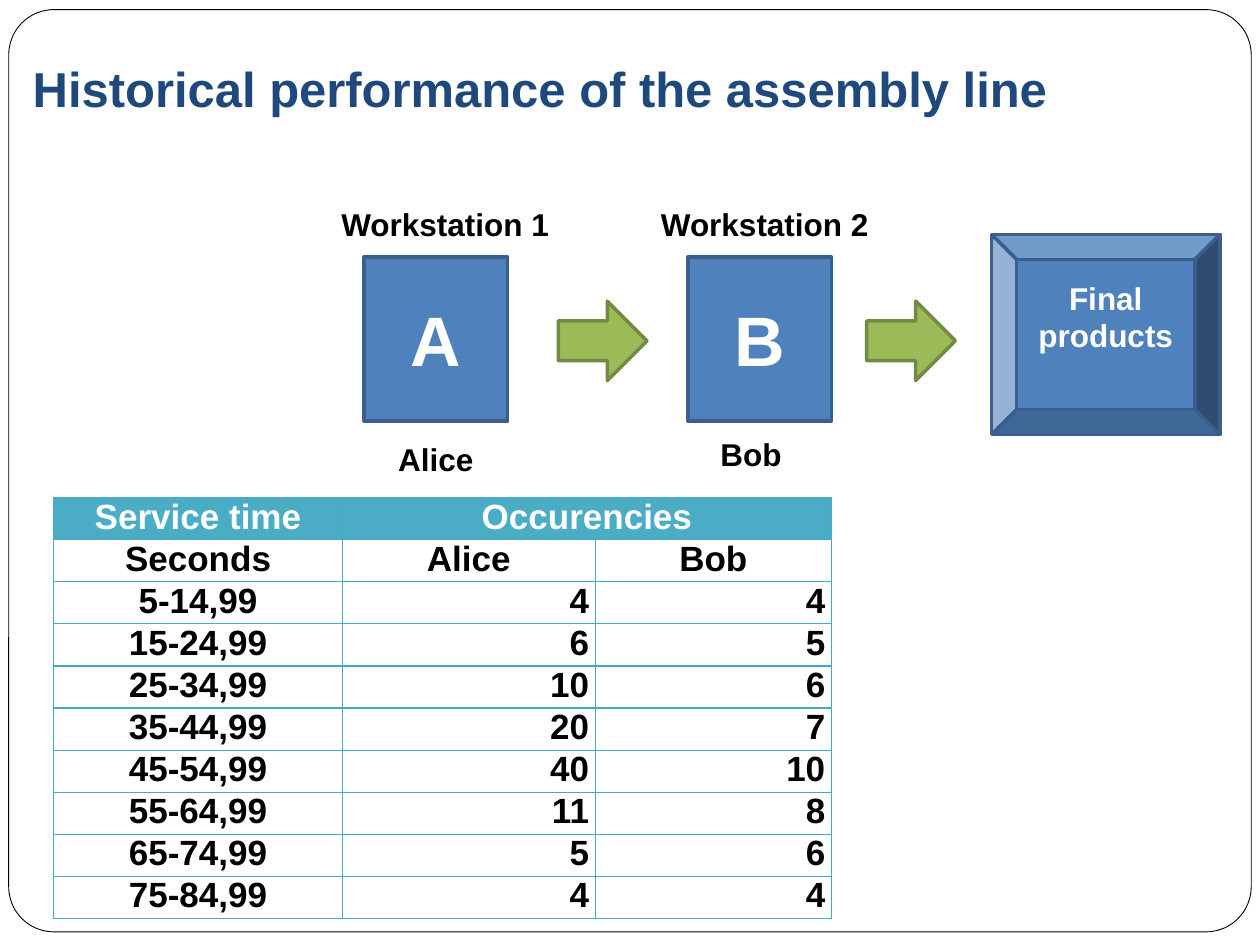
import pptx
import pptx.dml.color
import pptx.enum.shapes
import pptx.enum.text
import pptx.oxml
import pptx.oxml.ns
import pptx.util

Pt = pptx.util.Pt
RGB = pptx.dml.color.RGBColor
SHAPE = pptx.enum.shapes.MSO_SHAPE
ALIGN = pptx.enum.text.PP_ALIGN
ANCHOR = pptx.enum.text.MSO_ANCHOR

BLACK = RGB(0x00, 0x00, 0x00)
WHITE = RGB(0xFF, 0xFF, 0xFF)
NAVY = RGB(0x1F, 0x49, 0x7D)
BLUE = RGB(0x4F, 0x81, 0xBD)
BLUE_EDGE = RGB(0x3A, 0x5F, 0x8C)
GREEN = RGB(0x9B, 0xBB, 0x59)
GREEN_EDGE = RGB(0x73, 0x8A, 0x42)
TEAL = RGB(0x4B, 0xAC, 0xC6)
TEAL_EDGE = RGB(0x46, 0xAA, 0xC5)

ROWS = [
    ("Service time", "Occurencies", ""),
    ("Seconds", "Alice", "Bob"),
    ("5-14,99", "4", "4"),
    ("15-24,99", "6", "5"),
    ("25-34,99", "10", "6"),
    ("35-44,99", "20", "7"),
    ("45-54,99", "40", "10"),
    ("55-64,99", "11", "8"),
    ("65-74,99", "5", "6"),
    ("75-84,99", "4", "4"),
]


def write(tf, text, size=18, color=BLACK, align=ALIGN.LEFT, anchor=None):
    """Put one bold run in a text frame."""
    if anchor is not None:
        tf.vertical_anchor = anchor
    p = tf.paragraphs[0]
    p.alignment = align
    r = p.add_run()
    r.text = text
    r.font.name = "Arial"
    r.font.size = Pt(size)
    r.font.bold = True
    r.font.color.rgb = color


def add_block(s, kind, box, fill, edge, width=2):
    sp = s.shapes.add_shape(kind, *map(Pt, box))
    sp.shadow.inherit = False
    sp.fill.solid()
    sp.fill.fore_color.rgb = fill
    sp.line.color.rgb = edge
    sp.line.width = Pt(width)
    return sp


def add_label(s, text, left, top, width):
    sp = s.shapes.add_textbox(Pt(left), Pt(top), Pt(width), Pt(29))
    sp.text_frame.word_wrap = False
    write(sp.text_frame, text)


def add_title(s, text):
    sp = s.shapes.title
    sp.left, sp.top, sp.width, sp.height = map(Pt, (11.5, 21.6, 700, 52.6))
    tf = sp.text_frame
    tf.margin_left = tf.margin_right = tf.margin_bottom = Pt(7.2)
    tf.margin_top = Pt(3.6)
    write(tf, text, size=28, color=NAVY, anchor=ANCHOR.BOTTOM)
    # Bring the title in front of the frame
    sp.element.getparent().append(sp.element)


def set_borders(cell, color, width):
    tcPr = cell._tc.get_or_add_tcPr()
    for i, side in enumerate(("lnL", "lnR", "lnT", "lnB")):
        tcPr.insert(i, pptx.oxml.parse_xml(
            f'<a:{side} {pptx.oxml.ns.nsdecls("a")} w="{Pt(width)}">'
            f'<a:solidFill><a:srgbClr val="{color}"/></a:solidFill></a:{side}>'))


def add_times_table(s, left, top, widths, row_height):
    frame = s.shapes.add_table(len(ROWS), len(widths), Pt(left), Pt(top),
                               Pt(sum(widths)), Pt(row_height * len(ROWS)))
    table = frame.table
    table.first_row = table.horz_banding = False
    for col, width in zip(table.columns, widths):
        col.width = Pt(width)
    table.cell(0, 1).merge(table.cell(0, 2))

    for i, row in enumerate(ROWS):
        table.rows[i].height = Pt(row_height)
        for j, text in enumerate(row):
            cell = table.cell(i, j)
            cell.margin_left = cell.margin_right = Pt(3.6)
            cell.margin_top = cell.margin_bottom = 0
            set_borders(cell, TEAL_EDGE, 0.75)
            if i == 0:
                cell.fill.solid()
                cell.fill.fore_color.rgb = TEAL
            else:
                cell.fill.background()
            if text:
                is_count = i > 1 and j > 0
                write(cell.text_frame, text, size=20,
                      color=WHITE if i == 0 else BLACK,
                      align=ALIGN.RIGHT if is_count else ALIGN.CENTER)


def main():
    prs = pptx.Presentation()
    prs.slide_width, prs.slide_height = Pt(720), Pt(540)
    s = prs.slides.add_slide(prs.slide_layouts[5])

    # Rounded frame and title
    frame = add_block(s, SHAPE.ROUNDED_RECTANGLE, (5, 5.5, 710, 527),
                      WHITE, BLACK, width=0.5)
    frame.adjustments[0] = 0.049
    add_title(s, "Historical performance of the assembly line")

    # Workstations
    for letter, left in (("A", 208.1), ("B", 393.1)):
        sp = add_block(s, SHAPE.RECTANGLE, (left, 146.9, 82.1, 93.6),
                       BLUE, BLUE_EDGE)
        write(sp.text_frame, letter, size=40, color=WHITE,
              align=ALIGN.CENTER, anchor=ANCHOR.MIDDLE)

    # Station and worker names
    add_label(s, "Workstation 1", 188, 113.8, 134.6)
    add_label(s, "Workstation 2", 370.6, 113.8, 134.6)
    add_label(s, "Alice", 220.4, 247.9, 58.3)
    add_label(s, "Bob", 404.6, 244.8, 49.7)

    # Finished goods, with the text raised by one line
    sp = add_block(s, SHAPE.BEVEL, (566.6, 133.9, 130.6, 114.5),
                   BLUE, BLUE_EDGE)
    sp.text_frame.word_wrap = True
    sp.text_frame.margin_bottom = Pt(24.3)
    write(sp.text_frame, "Final products", color=WHITE,
          align=ALIGN.CENTER, anchor=ANCHOR.MIDDLE)

    # Flow arrows
    for left in (319, 495.2):
        add_block(s, SHAPE.RIGHT_ARROW, (left, 172.1, 50.7, 45.4),
                  GREEN, GREEN_EDGE)

    # Service times
    add_times_table(s, 30.7, 284.4, (165, 144.5, 135), 24)

    prs.save("out.pptx")


if __name__ == "__main__":
    main()
